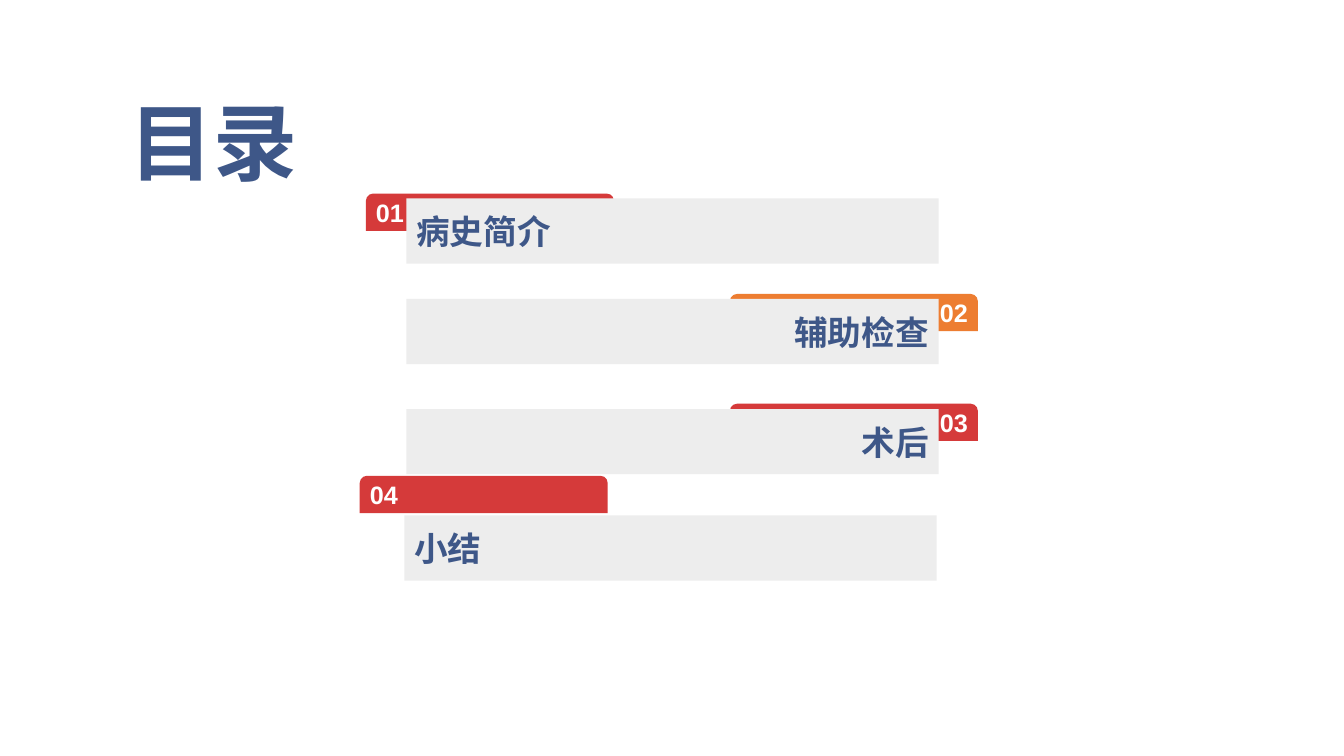
from pptx import Presentation
from pptx.dml.color import RGBColor
from pptx.enum.shapes import MSO_SHAPE
from pptx.enum.text import MSO_ANCHOR, PP_ALIGN
from pptx.util import Pt

# Content: number, label, side, tab colour, (tab x, tab y), (bar x, bar y)
TITLE = "目录"
ITEMS = [
    ("01", "病史简介", "left", "red", (261.4, 138.3), (290.2, 141.8)),
    ("02", "辅助检查", "right", "orange", (521.4, 210), (290.2, 213.6)),
    ("03", "术后", "right", "red", (521.4, 288.4), (290.2, 292.2)),
    ("04", "小结", "left", "red", (257, 339.9), (288.9, 368.1)),
]

THEME = {
    "red": "D53A3A", "orange": "ED7D31", "bar": "EDEDED",
    "navy": "3E5788", "white": "FFFFFF",
    "title": 60, "label": 24, "number": 18,
    "body": "Arial", "head": "Noto Sans CJK SC",
}
TAB = (177.1, 26.6)
BAR = (380.2, 46.6)
ROUND = 0.19
INSET = 1.5  # text offset caused by the rounded corners
SIDES = {"left": PP_ALIGN.LEFT, "right": PP_ALIGN.RIGHT}


def color(name):
    return RGBColor.from_string(THEME[name])


def write(shape, text, size, ink, face="body", align=PP_ALIGN.LEFT):
    frame = shape.text_frame
    frame.word_wrap = True
    frame.vertical_anchor = MSO_ANCHOR.MIDDLE
    para = frame.paragraphs[0]
    para.text = text
    para.alignment = align
    font = para.font
    font.name = THEME[face]
    font.size = Pt(THEME[size])
    font.bold = True
    font.color.rgb = color(ink)


def block(slide, kind, spot, size, fill):
    shape = slide.shapes.add_shape(kind, *map(Pt, spot + size))
    shape.shadow.inherit = False
    shape.fill.solid()
    shape.fill.fore_color.rgb = color(fill)
    shape.line.fill.background()
    return shape


def main():
    deck = Presentation()
    deck.slide_width, deck.slide_height = Pt(960), Pt(540)
    slide = deck.slides.add_slide(deck.slide_layouts[6])

    # Heading
    head = slide.shapes.add_textbox(Pt(85.7), Pt(60.5), Pt(157), Pt(80))
    write(head, TITLE, "title", "navy", "head")

    # Numbered tabs, each behind its bar
    for number, label, side, fill, spot, place in ITEMS:
        tab = block(slide, MSO_SHAPE.ROUND_2_SAME_RECTANGLE, spot, TAB, fill)
        tab.adjustments[0] = ROUND
        frame = tab.text_frame
        frame.margin_left = frame.margin_right = Pt(7.2 - INSET)
        frame.margin_top = Pt(3.6 - INSET)
        write(tab, number, "number", "white", align=SIDES[side])

        bar = block(slide, MSO_SHAPE.RECTANGLE, place, BAR, "bar")
        write(bar, label, "label", "navy", align=SIDES[side])

    deck.save("out.pptx")


if __name__ == "__main__":
    main()
